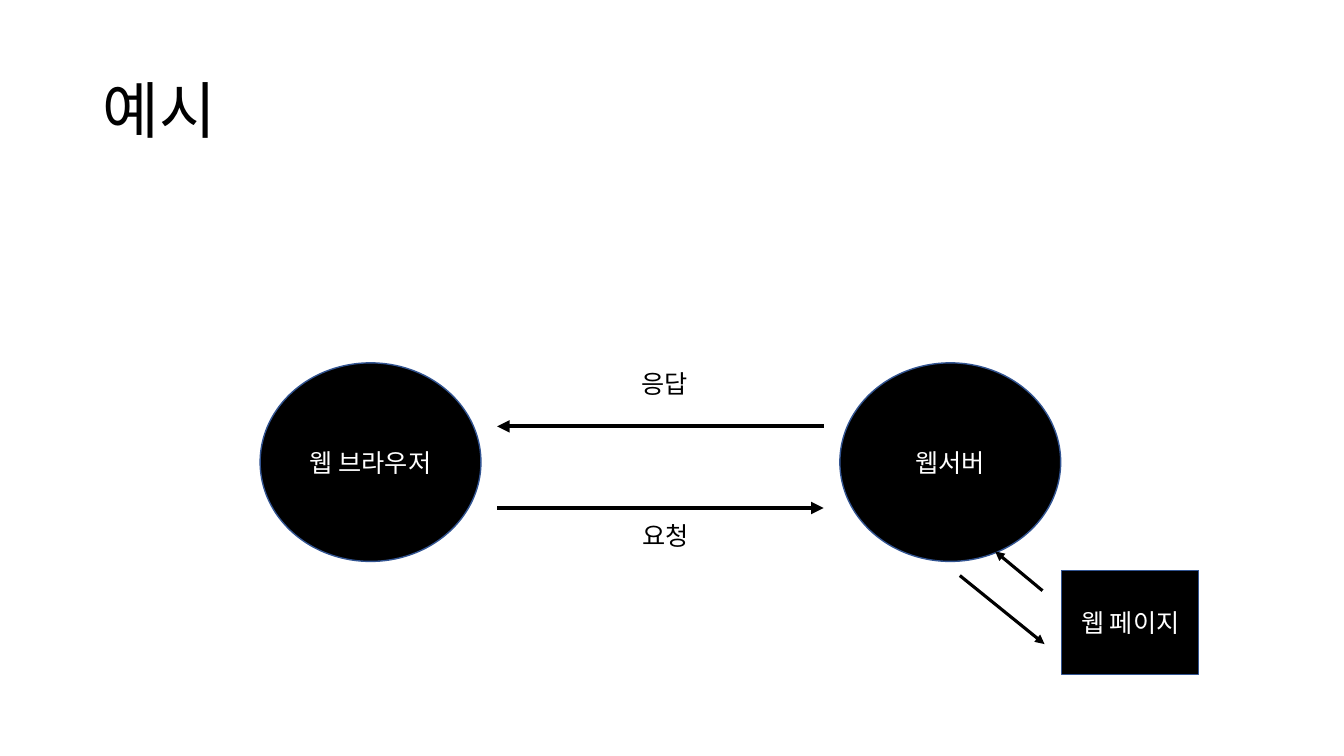
from lxml import etree
from pptx import Presentation
from pptx.dml.color import RGBColor
from pptx.enum.shapes import MSO_CONNECTOR, MSO_SHAPE
from pptx.enum.text import MSO_ANCHOR, PP_ALIGN
from pptx.oxml.ns import qn
from pptx.util import Inches, Pt

OVAL, RECT = MSO_SHAPE.OVAL, MSO_SHAPE.RECTANGLE
LINE = MSO_CONNECTOR.STRAIGHT
LEFT, CENTER = PP_ALIGN.LEFT, PP_ALIGN.CENTER
TOP, MIDDLE = MSO_ANCHOR.TOP, MSO_ANCHOR.MIDDLE
FONT = "Noto Sans CJK KR"
COLORS = {name: RGBColor.from_string(code) for name, code in {
    "black": "000000", "white": "FFFFFF", "edge": "325491"}.items()}


def write(shape, text, size, color, align, anchor):
    frame = shape.text_frame
    frame.word_wrap = True
    frame.vertical_anchor = anchor
    para = frame.paragraphs[0]
    para.alignment = align
    run = para.add_run()
    run.text = text
    style = {"name": FONT, "size": Pt(size), "bold": False}
    for key, value in style.items():
        setattr(run.font, key, value)
    run.font.color.rgb = COLORS[color]
    east = etree.SubElement(run.font._element, qn("a:ea"))
    east.set("typeface", FONT)


prs = Presentation()
prs.slide_width, prs.slide_height = Inches(13.33), Inches(7.5)
slide = prs.slides.add_slide(prs.slide_layouts[5])
shapes = slide.shapes

title = shapes.title
place = {"left": 0.92, "top": 0.4, "width": 11.5, "height": 1.45}
for key, value in place.items():
    setattr(title, key, Inches(value))
write(title, "예시", 44, "black", LEFT, MIDDLE)
title.text_frame.paragraphs[0].line_spacing = 0.9

nodes = [
    ("웹 브라우저", OVAL, 2.58, 3.6, 2.19, 1.97),
    ("웹서버", OVAL, 8.33, 3.6, 2.19, 1.97),
    ("웹 페이지", RECT, 10.53, 5.66, 1.36, 1.03),
]
for text, kind, *box in nodes:
    node = shapes.add_shape(kind, *map(Inches, box))
    node.shadow.inherit = False
    node.fill.solid()
    node.fill.fore_color.rgb = COLORS["black"]
    node.line.color.rgb = COLORS["edge"]
    node.line.width = Pt(1)
    write(node, text, 18, "white", CENTER, MIDDLE)

for text, left, top in [("요청", 6.27, 5.11), ("응답", 6.26, 3.61)]:
    label = shapes.add_textbox(*map(Inches, (left, top, 0.96, 0.4)))
    write(label, text, 18, "black", LEFT, TOP)

arrows = [
    (3, 4.93, 5.04, 8.17, 5.04),
    (3, 8.17, 4.23, 4.93, 4.23),
    (2.25, 9.52, 5.71, 10.36, 6.39),
    (2.25, 10.34, 5.86, 9.87, 5.47),
]
for width, *ends in arrows:
    arrow = shapes.add_connector(LINE, *map(Inches, ends))
    arrow.line.color.rgb = COLORS["black"]
    arrow.line.width = Pt(width)
    props = arrow._element.spPr
    tip = etree.SubElement(props.find(qn("a:ln")), qn("a:tailEnd"))
    tip.set("type", "triangle")
    etree.SubElement(props, qn("a:effectLst"))

prs.save("out.pptx")
